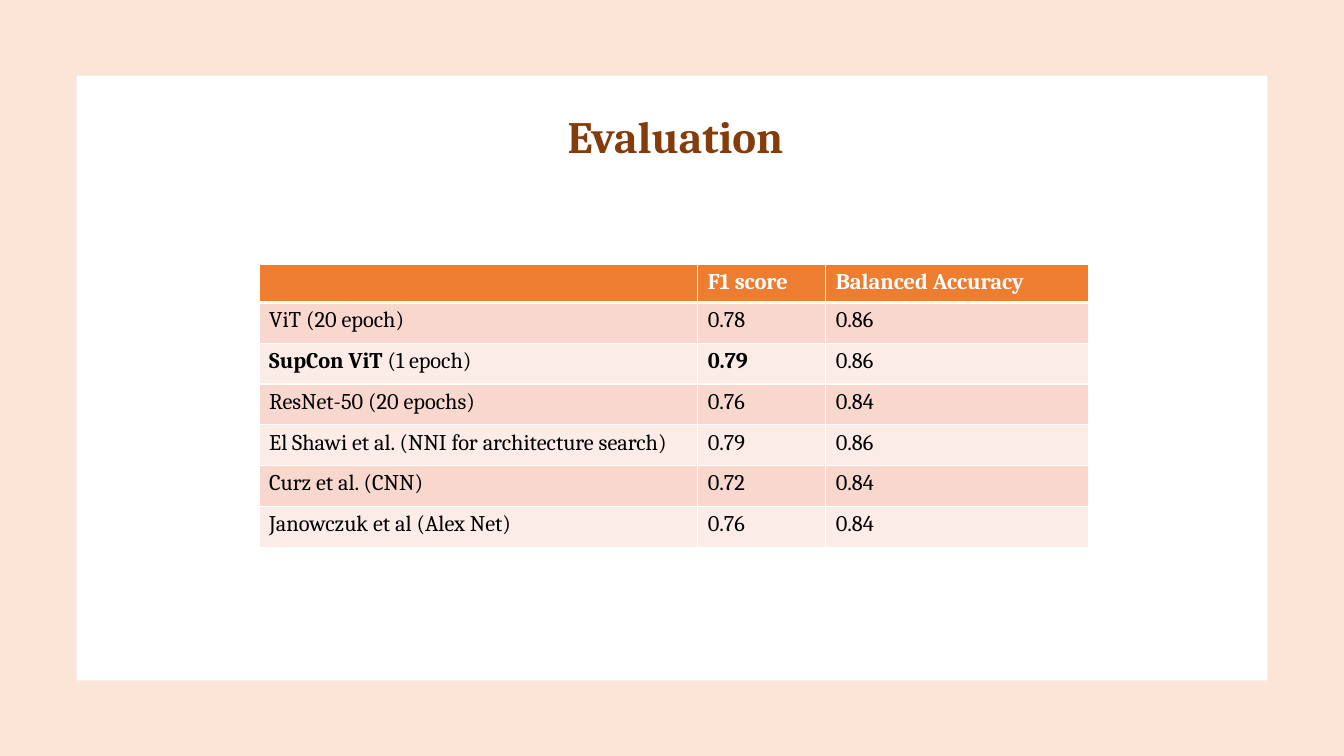
from dataclasses import dataclass

from lxml import etree
from pptx import Presentation
from pptx import util as u
from pptx.dml.color import RGBColor
from pptx.enum import shapes, text
from pptx.oxml import ns

FONT = "Cambria"
PEACH, WHITE, BLACK, BROWN = "FBE5D6", "FFFFFF", "000000", "843C0B"
HEADER_FILL = "ED7D31"
BAND_FILLS = ("F8D7CE", "FCECE8")


@dataclass
class Panel:
    left: float
    top: float
    width: float
    height: float
    fill: str


@dataclass
class Run:
    text: str
    bold: bool = False


@dataclass
class Result:
    model: list[Run]
    f1: Run
    accuracy: Run


PANELS = [
    Panel(0, 0, 13.33, 7.5, PEACH),
    Panel(0.76, 0.75, 11.81, 6, WHITE),
]
HEADINGS = ["", "F1 score", "Balanced Accuracy"]
RESULTS = [
    Result([Run("ViT (20 epoch)")], Run("0.78"), Run("0.86")),
    Result([Run("SupCon ViT ", True), Run("(1 epoch)")], Run("0.79", True), Run("0.86")),
    Result([Run("ResNet-50 (20 epochs)")], Run("0.76"), Run("0.84")),
    Result([Run("El Shawi et al. (NNI for architecture search)")], Run("0.79"), Run("0.86")),
    Result([Run("Curz et al. (CNN)")], Run("0.72"), Run("0.84")),
    Result([Run("Janowczuk et al (Alex Net)")], Run("0.76"), Run("0.84")),
]
COLUMN_WIDTHS = [4.35, 1.27, 2.61]
HEADER_HEIGHT, ROW_HEIGHT = 0.37, 0.405


def color(value: str) -> RGBColor:
    return RGBColor.from_string(value)


def paint(target, value: str) -> None:
    target.fill.solid()
    target.fill.fore_color.rgb = color(value)


def add_run(p, run: Run, size: int, font_color: str) -> None:
    r = p.add_run()
    r.text = run.text
    formats = {"name": FONT, "size": u.Pt(size), "bold": run.bold}
    for name, value in formats.items():
        setattr(r.font, name, value)
    r.font.color.rgb = color(font_color)


def add_panel(s, panel: Panel) -> None:
    box = [u.Inches(v) for v in (panel.left, panel.top, panel.width, panel.height)]
    sp = s.shapes.add_shape(shapes.MSO_SHAPE.RECTANGLE, *box)
    sp.shadow.inherit = False
    paint(sp, panel.fill)
    sp.line.fill.background()


def add_title(s, wording: str) -> None:
    title = s.shapes.title
    # Bring the title in front of the panels
    title.element.getparent().append(title.element)
    place = {"left": 1.8, "top": 0.83, "width": 9.8, "height": 1.1}
    for name, value in place.items():
        setattr(title, name, u.Inches(value))
    tf = title.text_frame
    tf.word_wrap = True
    tf.vertical_anchor = text.MSO_ANCHOR.MIDDLE
    p = tf.paragraphs[0]
    p.alignment = text.PP_ALIGN.CENTER
    p.line_spacing = 0.9
    add_run(p, Run(wording, True), 32, BROWN)


def add_borders(cell, top: float, bottom: float) -> None:
    properties = cell._tc.get_or_add_tcPr()
    for side, width in {"L": 1, "R": 1, "T": top, "B": bottom}.items():
        line = etree.SubElement(properties, ns.qn(f"a:ln{side}"), w=str(u.Pt(width)))
        fill = etree.SubElement(line, ns.qn("a:solidFill"))
        etree.SubElement(fill, ns.qn("a:srgbClr"), val=WHITE)


def add_results_table(s) -> None:
    rows = [[[Run(heading, True)] for heading in HEADINGS]]
    rows += [[result.model, [result.f1], [result.accuracy]] for result in RESULTS]
    heights = [HEADER_HEIGHT] + [ROW_HEIGHT] * len(RESULTS)
    box = [u.Inches(v) for v in (2.57, 2.62, sum(COLUMN_WIDTHS), sum(heights))]
    table = s.shapes.add_table(len(rows), len(HEADINGS), *box).table
    for column, width in zip(table.columns, COLUMN_WIDTHS):
        column.width = u.Inches(width)
    for i, (row, height) in enumerate(zip(rows, heights)):
        table.rows[i].height = u.Inches(height)
        is_header = i == 0
        for j, runs in enumerate(row):
            cell = table.cell(i, j)
            # The thick rule lies between the header and the first result
            add_borders(cell, top=3 if i == 1 else 1, bottom=3 if is_header else 1)
            paint(cell, HEADER_FILL if is_header else BAND_FILLS[(i - 1) % 2])
            for run in runs:
                add_run(cell.text_frame.paragraphs[0], run, 16, WHITE if is_header else BLACK)


def main() -> None:
    prs = Presentation()
    prs.slide_width, prs.slide_height = u.Inches(13.33), u.Inches(7.5)
    s = prs.slides.add_slide(prs.slide_layouts[5])

    # Peach frame around a white panel
    for panel in PANELS:
        add_panel(s, panel)

    # Heading and scores
    add_title(s, "Evaluation")
    add_results_table(s)
    prs.save("out.pptx")


if __name__ == "__main__":
    main()
